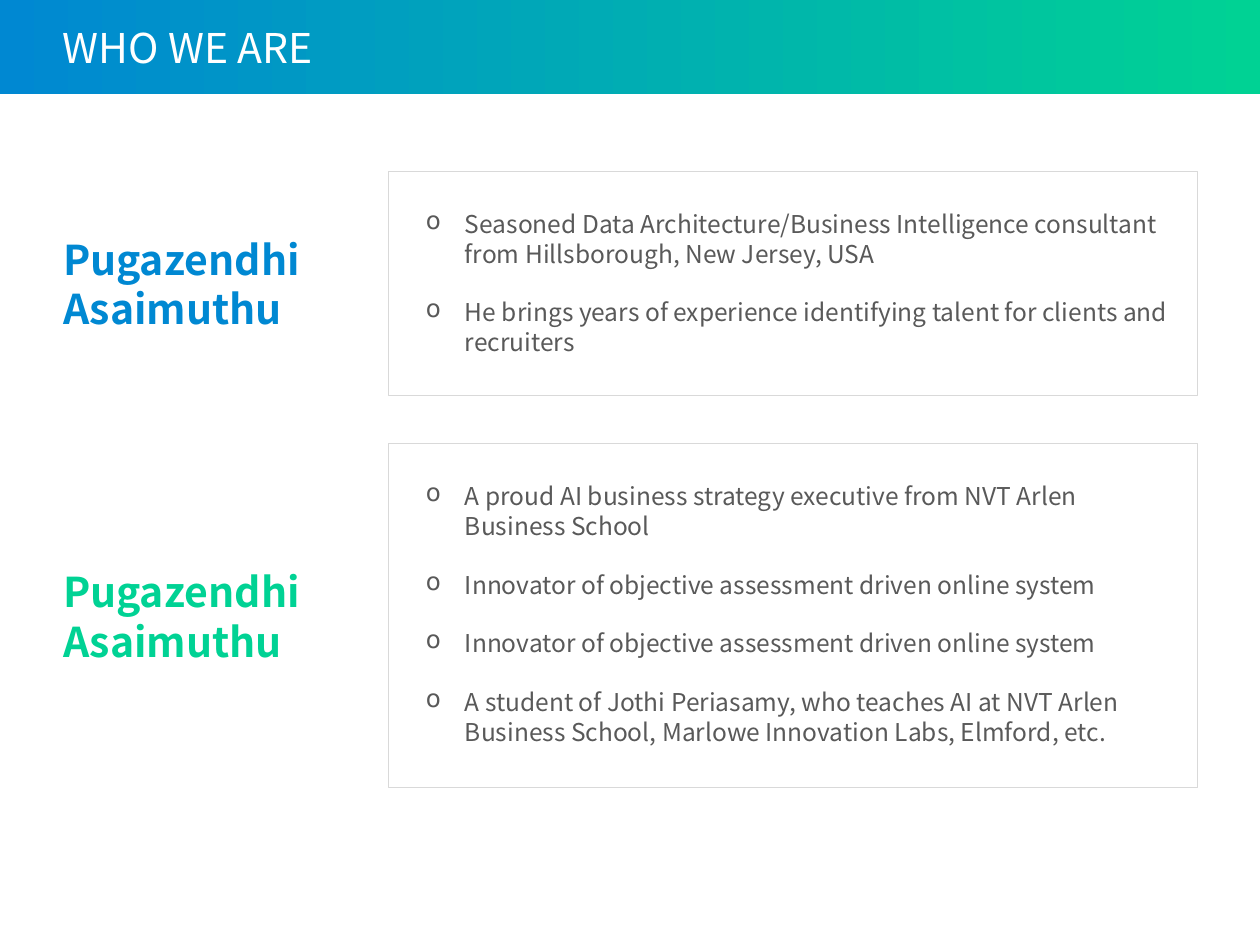
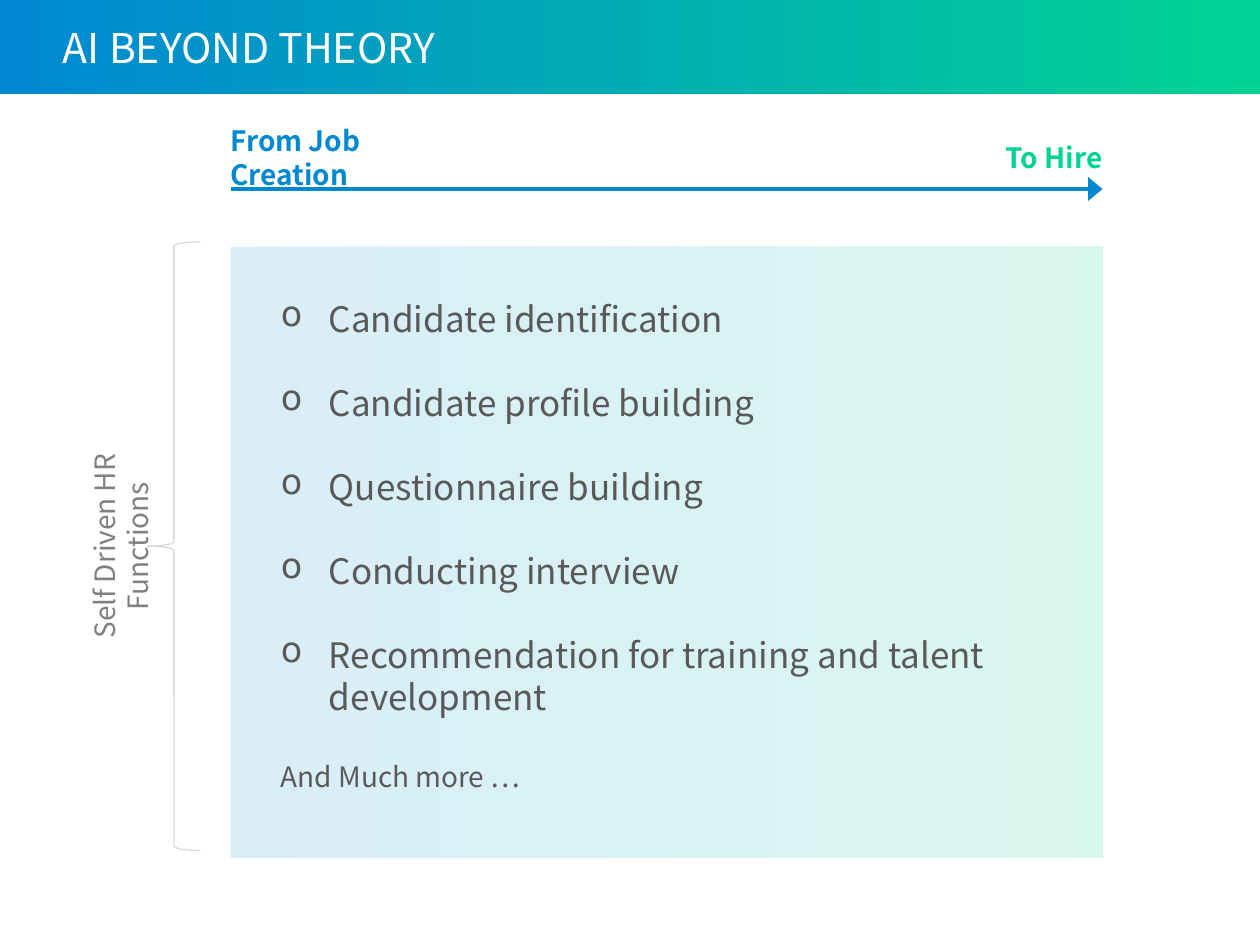
import lxml.etree
import pptx
import pptx.dml.color
import pptx.enum.shapes
import pptx.enum.text
import pptx.oxml.ns
import pptx.util

PX = 9144
FONT = "Noto Sans CJK JP"
COLORS = {"blue": "0088D2", "green": "00D294", "white": "FFFFFF",
          "text": "595959", "label": "808080", "border": "D9D9D9"}
SHAPE = pptx.enum.shapes.MSO_SHAPE
ALIGN = pptx.enum.text.PP_ALIGN
ANCHOR = pptx.enum.text.MSO_ANCHOR
qn = pptx.oxml.ns.qn


def rgb(name):
    return pptx.dml.color.RGBColor.from_string(COLORS[name])


class Deck:
    """Holds the shared style and the current slide, and draws each element."""

    def __init__(self):
        self.prs = pptx.Presentation()
        self.prs.slide_width, self.prs.slide_height = 1000 * PX, 750 * PX

    def slide(self, title):
        self.s = self.prs.slides.add_slide(self.prs.slide_layouts[6])
        self.gradient(self.shape(SHAPE.RECTANGLE, 0, 0, 1000, 75))
        self.label(title, 50, 16, 900, 43, 23.4, "white")

    def shape(self, kind, x, y, w, h, line=None, weight=0.5):
        sp = self.s.shapes.add_shape(kind, x * PX, y * PX, w * PX, h * PX)
        sp.shadow.inherit = False
        sp.fill.background()
        if line:
            sp.line.color.rgb = rgb(line)
            sp.line.width = pptx.util.Pt(weight)
        else:
            sp.line.fill.background()
        return sp

    def gradient(self, sp, opacity=100):
        sp.fill.gradient()
        sp.fill.gradient_angle = 0
        for stop, color in zip(sp.fill.gradient_stops, ("blue", "green")):
            stop.color.rgb = rgb(color)
        if opacity < 100:
            for clr in sp._element.spPr.iter(qn("a:srgbClr")):
                lxml.etree.SubElement(clr, qn("a:alpha"), val=str(opacity * 1000))

    def frame(self, sp, anchor, left=0, top=0, right=0, bottom=0):
        tf = sp.text_frame
        tf.word_wrap = True
        tf.vertical_anchor = anchor
        tf.margin_left, tf.margin_top = left * PX, top * PX
        tf.margin_right, tf.margin_bottom = right * PX, bottom * PX
        return tf

    def paragraph(self, p, text, size, color, bold=False, align=ALIGN.LEFT):
        p.text = text
        p.alignment = align
        p.line_spacing = pptx.util.Pt(round(size * 1.2, 1))
        p.font.name = FONT
        p.font.size = pptx.util.Pt(size)
        p.font.bold = bold
        p.font.color.rgb = rgb(color)

    def label(self, text, x, y, w, h, size, color, bold=False, align=ALIGN.LEFT,
              rotation=0):
        sp = self.s.shapes.add_textbox(x * PX, y * PX, w * PX, h * PX)
        sp.rotation = rotation
        tf = self.frame(sp, ANCHOR.MIDDLE)
        self.paragraph(tf.paragraphs[0], text, size, color, bold, align)

    def bullets(self, sp, items, size, inset, indent, closing=None):
        tf = self.frame(sp, ANCHOR.TOP, inset, inset, inset - 10, inset)
        for i, text in enumerate(items):
            p = tf.add_paragraph() if i else tf.paragraphs[0]
            self.paragraph(p, text, size, "text")
            if i:
                p.space_before = pptx.util.Pt(size * 1.2)
            pPr = p._p.get_or_add_pPr()
            pPr.set("marL", str(indent * PX))
            pPr.set("indent", str(-indent * PX))
            bullet = lxml.etree.Element(qn("a:buChar"), char="o")
            pPr.find(qn("a:defRPr")).addprevious(bullet)
        if closing:
            p = tf.add_paragraph()
            self.paragraph(p, closing, 16, "text")
            p.space_before = pptx.util.Pt(size * 1.2)

    def arrow(self, x1, y1, x2, y2, color, weight):
        c = self.s.shapes.add_connector(
            pptx.enum.shapes.MSO_CONNECTOR.STRAIGHT, x1 * PX, y1 * PX, x2 * PX, y2 * PX)
        c.line.color.rgb = rgb(color)
        c.line.width = pptx.util.Pt(weight)
        lxml.etree.SubElement(c.line._get_or_add_ln(), qn("a:tailEnd"),
                              type="triangle", w="lg")
        lxml.etree.SubElement(c._element.spPr, qn("a:effectLst"))


def who_we_are(deck):
    deck.slide("WHO WE ARE")
    innovator = "Innovator of objective assessment driven online system"
    profiles = [
        (136, 178, 165, "blue", [
            "Seasoned Data Architecture/Business Intelligence consultant "
            "from Hillsborough, New Jersey, USA",
            "He brings years of experience identifying talent for clients and recruiters"]),
        (352, 273, 429, "green", [
            "A proud AI business strategy executive from NVT Arlen Business School",
            innovator, innovator,
            "A student of Jothi Periasamy, who teaches AI at NVT Arlen "
            "Business School, Marlowe Innovation Labs, Elmford, etc."])]
    for y, h, name_y, color, facts in profiles:
        box = deck.shape(SHAPE.RECTANGLE, 308, y, 642, h, "border")
        deck.bullets(box, facts, 14, 30, 31)
        deck.label("Pugazendhi Asaimuthu", 50, name_y, 242, 120, 23.4, color, True)


def ai_beyond_theory(deck):
    deck.slide("AI BEYOND THEORY")
    deck.arrow(183, 150, 875, 150, "blue", 2.75)
    deck.label("From Job Creation", 183, 113, 183, 24, 16, "blue", True)
    deck.label("To Hire", 692, 113, 183, 24, 16, "green", True, ALIGN.RIGHT)
    deck.label("Self Driven HR Functions", -25, 421, 242, 25, 16, "label",
               align=ALIGN.CENTER, rotation=270)
    deck.shape(SHAPE.LEFT_BRACE, 117, 192, 42, 483, "border", 0.75)
    panel = deck.shape(SHAPE.RECTANGLE, 183, 196, 692, 485)
    deck.gradient(panel, 15)
    deck.bullets(panel, [
        "Candidate identification", "Candidate profile building",
        "Questionnaire building", "Conducting interview",
        "Recommendation for training and talent development"],
        20, 40, 38, "And Much more …")


def main():
    deck = Deck()
    who_we_are(deck)
    ai_beyond_theory(deck)
    deck.prs.save("out.pptx")


if __name__ == "__main__":
    main()
